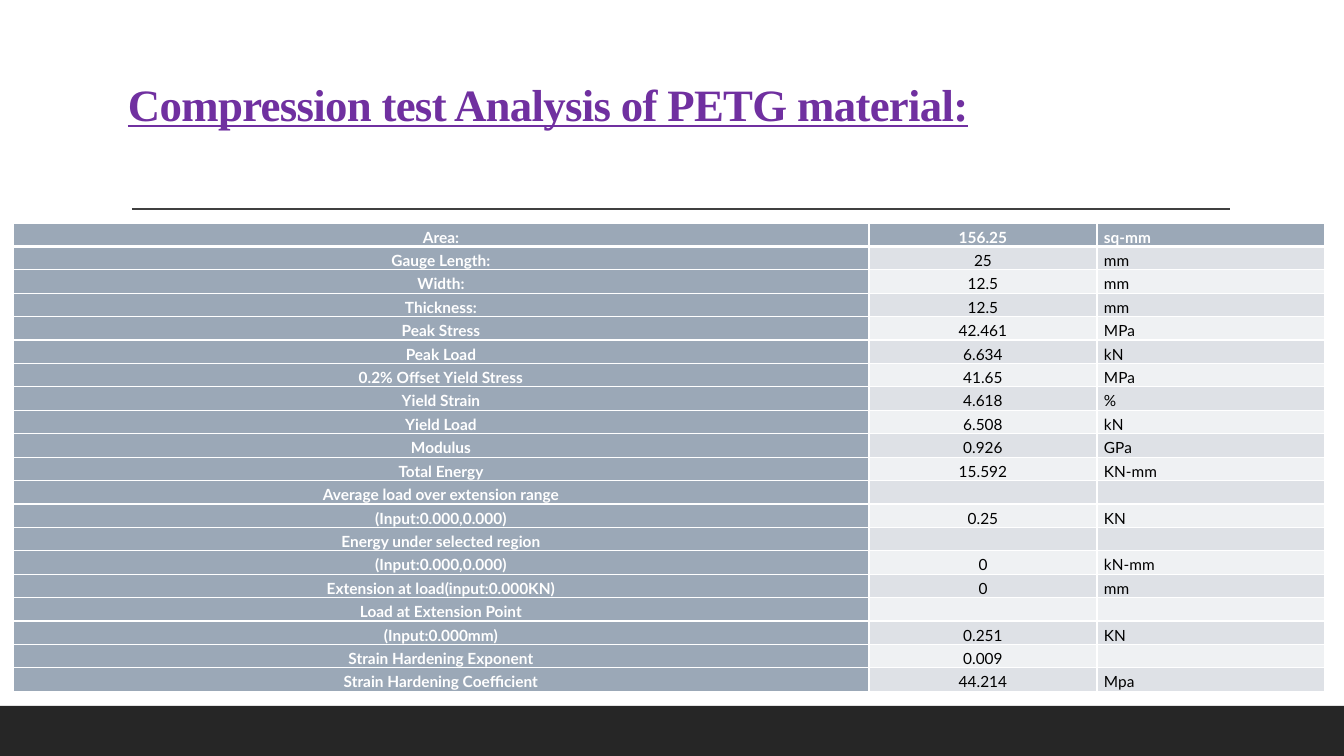
from lxml import etree
from pptx import Presentation
from pptx import util as u
from pptx.dml.color import RGBColor
from pptx.enum import shapes, text
from pptx.oxml.ns import qn

WHITE = RGBColor(0xFF, 0xFF, 0xFF)
BLACK = RGBColor(0x00, 0x00, 0x00)
PURPLE = RGBColor(0x70, 0x30, 0xA0)
RULE_GREY = RGBColor(0x40, 0x40, 0x40)
FOOTER_GREY = RGBColor(0x26, 0x26, 0x26)
LABEL_BLUE = RGBColor(0x9B, 0xA8, 0xB7)
BANDS = [RGBColor(0xEF, 0xF1, 0xF3), RGBColor(0xDE, 0xE1, 0xE6)]

SLIDE_WIDTH, SLIDE_HEIGHT = 1344, 756
COLUMN_WIDTHS = [856, 228, 228]
RESULTS = [
    ("Area:", "156.25", "sq-mm"),
    ("Gauge Length:", "25", "mm"),
    ("Width:", "12.5", "mm"),
    ("Thickness:", "12.5", "mm"),
    ("Peak Stress", "42.461", "MPa"),
    ("Peak Load", "6.634", "kN"),
    ("0.2% Offset Yield Stress", "41.65", "MPa"),
    ("Yield Strain", "4.618", "%"),
    ("Yield Load", "6.508", "kN"),
    ("Modulus", "0.926", "GPa"),
    ("Total Energy", "15.592", "KN-mm"),
    ("Average load over extension range", "", ""),
    ("(Input:0.000,0.000)", "0.25", "KN"),
    ("Energy under selected region", "", ""),
    ("(Input:0.000,0.000)", "0", "kN-mm"),
    ("Extension at load(input:0.000KN)", "0", "mm"),
    ("Load at Extension Point", "", ""),
    ("(Input:0.000mm)", "0.251", "KN"),
    ("Strain Hardening Exponent", "0.009", ""),
    ("Strain Hardening Coefficient", "44.214", "Mpa"),
]


def px(length):
    return u.Inches(length / 100.8)


def set_all(target, values):
    for name, value in values.items():
        setattr(target, name, value)


def add_run(paragraph, words, color, **font):
    run = paragraph.add_run()
    run.text = words
    run.font.color.rgb = color
    set_all(run.font, font)
    return run


def add_footer_band(slide, left, top, width, height):
    band = slide.shapes.add_shape(shapes.MSO_SHAPE.RECTANGLE,
                                  px(left), px(top), px(width), px(height))
    band.shadow.inherit = False
    band.fill.solid()
    band.fill.fore_color.rgb = FOOTER_GREY
    band.line.fill.background()


def add_rule(slide, left, top, width):
    rule = slide.shapes.add_connector(shapes.MSO_CONNECTOR.STRAIGHT,
                                      px(left), px(top), px(left + width), px(top))
    rule.line.color.rgb = RULE_GREY
    rule.line.width = u.Pt(1)
    etree.SubElement(rule._element.spPr, qn("a:effectLst"))


def add_title(slide, left, top, width, height):
    box = slide.shapes.add_textbox(px(left), px(top), px(width), px(height))
    set_all(box.text_frame, {
        "word_wrap": True, "vertical_anchor": text.MSO_ANCHOR.BOTTOM,
        "margin_left": px(10), "margin_right": px(10), "margin_bottom": px(58)})
    paragraph = box.text_frame.paragraphs[0]
    paragraph.line_spacing = 0.9
    run = add_run(paragraph, "Compression test Analysis of PETG material:", PURPLE,
                  name="Times New Roman", size=u.Pt(32), bold=True, underline=True)
    run.font._element.set("spc", "-50")


def add_border(cell, side, points):
    line = etree.SubElement(cell._tc.get_or_add_tcPr(), qn(f"a:ln{side}"),
                            w=str(u.Pt(points)))
    fill = etree.SubElement(line, qn("a:solidFill"))
    etree.SubElement(fill, qn("a:srgbClr"), val=str(WHITE))


def fill_cell(cell, row, column, words):
    heading = row == 0 or column == 0
    # Thick line under the first row, thin lines elsewhere
    widths = {"L": 1, "R": 1, "T": 3 if row == 1 else 1, "B": 3 if row == 0 else 1}
    for side, points in widths.items():
        add_border(cell, side, points)
    cell.fill.solid()
    cell.fill.fore_color.rgb = LABEL_BLUE if heading else BANDS[row % 2]
    set_all(cell, {"vertical_anchor": text.MSO_ANCHOR.BOTTOM,
                   "margin_left": px(7), "margin_right": px(7),
                   "margin_top": 0, "margin_bottom": 0})
    paragraph = cell.text_frame.paragraphs[0]
    if not words:
        # Keeps an empty cell from stretching its row
        etree.SubElement(paragraph._p, qn("a:endParaRPr"), sz="1100")
        return
    align = text.PP_ALIGN.LEFT if column == 2 else text.PP_ALIGN.CENTER
    set_all(paragraph, {"alignment": align, "line_spacing": 1.15,
                        "space_after": u.Pt(10)})
    add_run(paragraph, words, WHITE if heading else BLACK,
            name="Lato", size=u.Pt(11), bold=heading)


def add_results_table(slide, left, top, width, height):
    frame = slide.shapes.add_table(len(RESULTS), len(COLUMN_WIDTHS),
                                   px(left), px(top), px(width), px(height))
    table = frame.table
    set_all(table, {"first_row": False, "horz_banding": False})
    for column, column_width in zip(table.columns, COLUMN_WIDTHS):
        column.width = px(column_width)
    for row, result in enumerate(RESULTS):
        table.rows[row].height = px(height / len(RESULTS))
        for column, words in enumerate(result):
            fill_cell(table.cell(row, column), row, column, words)


def build_slide(presentation):
    slide = presentation.slides.add_slide(presentation.slide_layouts[6])
    add_footer_band(slide, 0, 706, SLIDE_WIDTH, 50)
    add_rule(slide, 132, 209, 1098)
    add_title(slide, 118, 29, 1109, 160)
    add_results_table(slide, 13, 223, sum(COLUMN_WIDTHS), 469)


def main():
    presentation = Presentation()
    set_all(presentation, {"slide_width": px(SLIDE_WIDTH),
                           "slide_height": px(SLIDE_HEIGHT)})
    build_slide(presentation)
    presentation.save("out.pptx")


if __name__ == "__main__":
    main()
